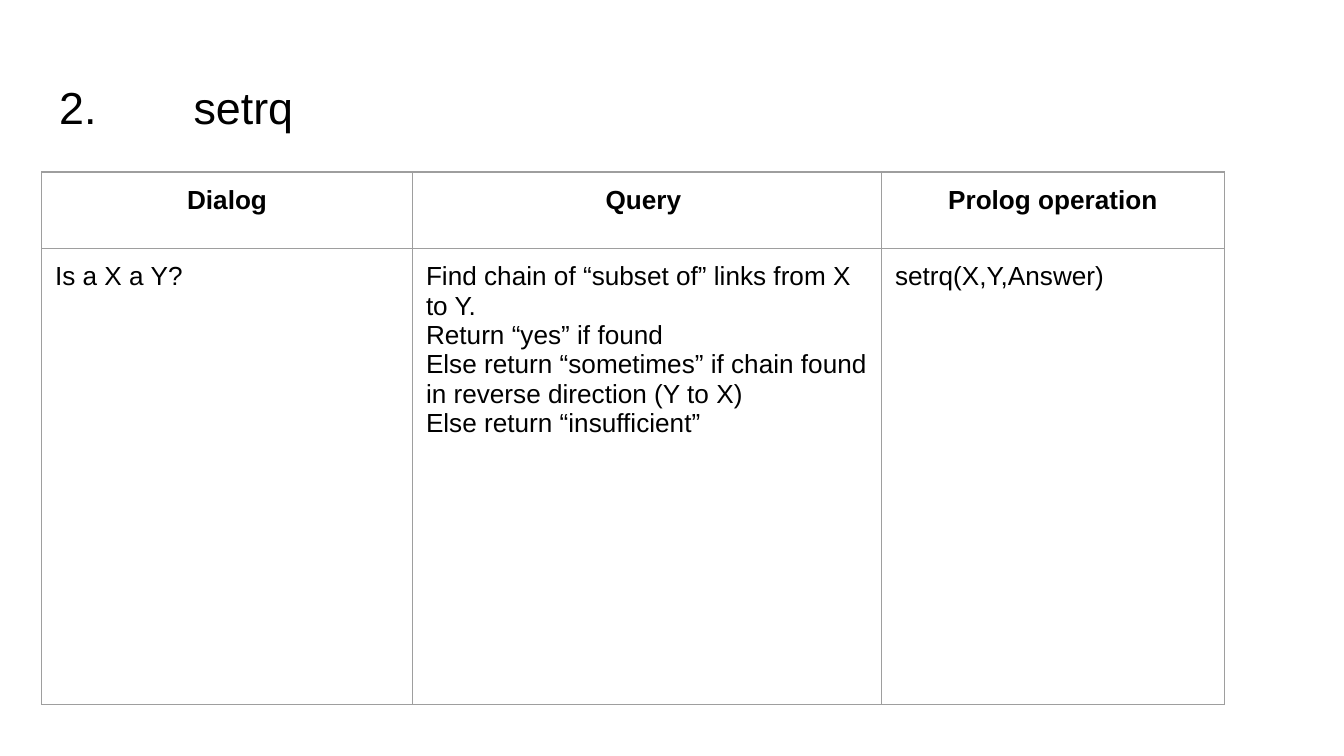
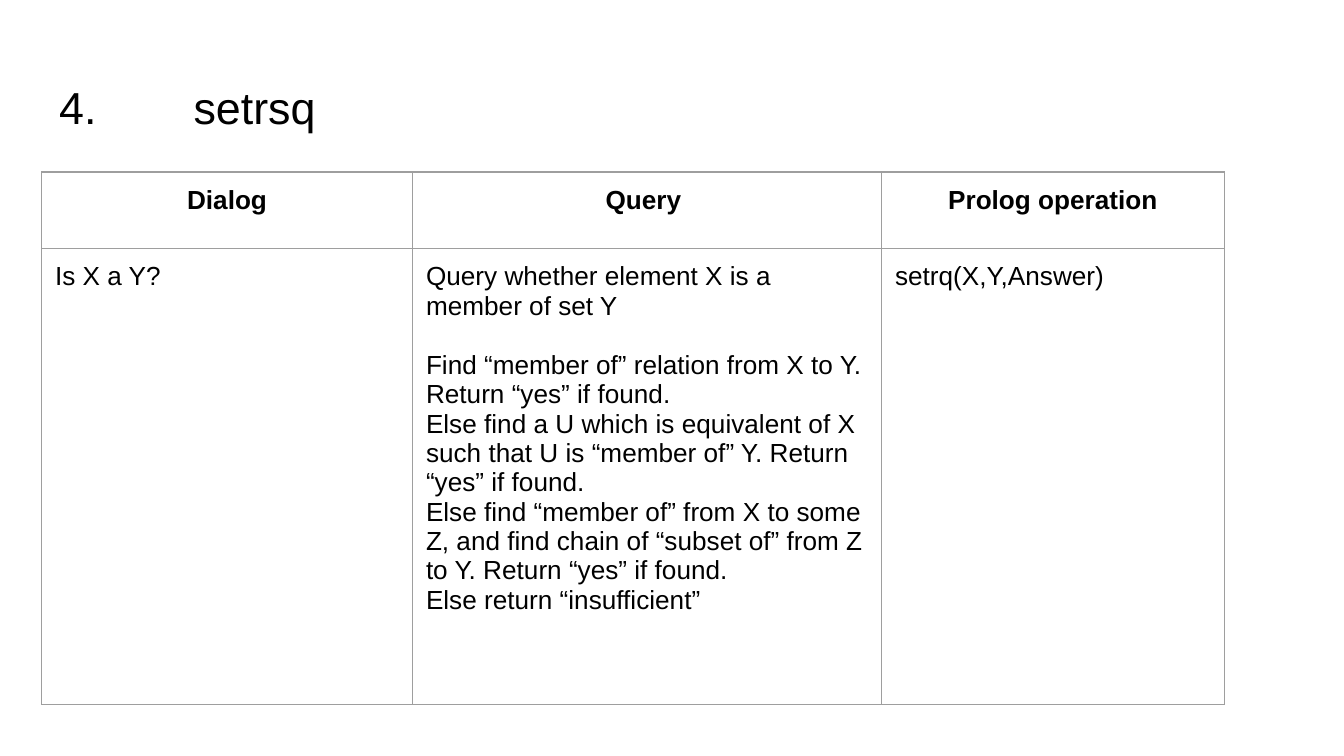
from lxml.etree import SubElement
from pptx import Presentation
from pptx.dml.color import RGBColor
from pptx.enum.text import MSO_ANCHOR, MSO_AUTO_SIZE, PP_ALIGN
from pptx.oxml import parse_xml
from pptx.oxml.ns import nsdecls, qn
from pptx.util import Inches, Pt

BLACK = RGBColor(0x00, 0x00, 0x00)
GRID_GRAY = RGBColor(0x9E, 0x9E, 0x9E)

HEADINGS = ["Dialog", "Query ", "Prolog operation"]
COLUMN_WIDTHS = [2.76, 3.49, 2.55]
ROW_HEIGHTS = [0.57, 1.13, 1.13, 1.13]


class Deck:
    """Holds the shared style and the current slide."""

    font_name = "Arial"
    title_size = Pt(24)
    body_size = Pt(14)
    group_gap = Pt(16)
    border_width = Pt(0.75)
    inset = Inches(0.1)

    def __init__(self):
        self.presentation = Presentation()
        # Widescreen, 16:9
        self.presentation.slide_width = Inches(10)
        self.presentation.slide_height = Inches(10) * 9 // 16
        self.slide = None

    def add_slide(self):
        layout = self.presentation.slide_layouts.get_by_name("Title Only")
        self.slide = self.presentation.slides.add_slide(layout)

    def format_runs(self, paragraph, size, bold=False):
        for run in paragraph.runs:
            run.font.name = self.font_name
            run.font.size = size
            run.font.bold = bold
            run.font.color.rgb = BLACK

    def set_insets(self, target):
        target.margin_left = target.margin_right = self.inset
        target.margin_top = target.margin_bottom = self.inset

    def add_title(self, number, name):
        title = self.slide.shapes.title
        title.left, title.top = Inches(0.34), Inches(0.49)
        title.width, title.height = Inches(9.32), Inches(0.63)
        text_frame = title.text_frame
        text_frame.text = f"{number}.\t{name}"
        text_frame.word_wrap = True
        text_frame.auto_size = MSO_AUTO_SIZE.NONE
        text_frame.vertical_anchor = MSO_ANCHOR.TOP
        self.set_insets(text_frame)
        paragraph = text_frame.paragraphs[0]
        paragraph.alignment = PP_ALIGN.LEFT
        # Tab stop between number and name
        tabs = SubElement(paragraph._p.get_or_add_pPr(), qn("a:tabLst"))
        SubElement(tabs, qn("a:tab"), pos=str(Inches(1)), algn="l")
        self.format_runs(paragraph, self.title_size)

    def style_cell(self, cell):
        self.set_insets(cell)
        cell.vertical_anchor = MSO_ANCHOR.TOP
        cell.fill.background()
        properties = cell._tc.get_or_add_tcPr()
        for index, side in enumerate("LRTB"):
            properties.insert(index, parse_xml(
                f'<a:ln{side} {nsdecls("a")} w="{self.border_width}"><a:solidFill>'
                f'<a:srgbClr val="{GRID_GRAY}"/></a:solidFill></a:ln{side}>'))

    def fill_cell(self, cell, groups, heading=False):
        """Write groups of paragraphs, with a gap before each later group."""
        lines = [(line, group_index > 0 and line_index == 0)
                 for group_index, group in enumerate(groups)
                 for line_index, line in enumerate(group)]
        cell.text_frame.text = "\n".join(line for line, _ in lines)
        for paragraph, (_, starts_group) in zip(cell.text_frame.paragraphs, lines):
            paragraph.alignment = PP_ALIGN.CENTER if heading else PP_ALIGN.LEFT
            if starts_group:
                paragraph.space_before = self.group_gap
            self.format_runs(paragraph, self.body_size, heading)

    def add_query_table(self, dialog, query_groups, operation):
        table = self.slide.shapes.add_table(
            len(ROW_HEIGHTS), len(COLUMN_WIDTHS), Inches(0.31), Inches(1.28),
            Inches(sum(COLUMN_WIDTHS)), Inches(sum(ROW_HEIGHTS))).table
        table.first_row = table.horz_banding = False
        for column, width in zip(table.columns, COLUMN_WIDTHS):
            column.width = Inches(width)
        for row, height in zip(table.rows, ROW_HEIGHTS):
            row.height = Inches(height)
        for cell in table.iter_cells():
            self.style_cell(cell)
        # Heading row above one tall merged row
        contents = [[[dialog]], query_groups, [[operation]]]
        for index, (heading, groups) in enumerate(zip(HEADINGS, contents)):
            self.fill_cell(table.cell(0, index), [[heading]], heading=True)
            body = table.cell(1, index)
            body.merge(table.cell(len(ROW_HEIGHTS) - 1, index))
            self.fill_cell(body, groups)


# Slide content: number, name, dialog, query groups, operation
QUERIES = [
    (2, "setrq", "Is a X a Y?", [[
        "Find chain of “subset of” links from X to Y.",
        "Return “yes” if found",
        "Else return “sometimes” if chain found in reverse direction (Y to X)",
        "Else return “insufficient”",
    ]], "setrq(X,Y,Answer)"),
    (4, "setrsq", "Is X a Y?", [
        ["Query whether element X is a member of set Y"],
        [
            "Find “member of” relation from X to Y.",
            "Return “yes” if found.",
            "Else find a U which is equivalent of X such that U is “member of” Y. "
            "Return “yes” if found.",
            "Else find “member of” from X to some Z, and find chain of “subset of” "
            "from Z to Y. Return “yes” if found.",
            "Else return “insufficient”",
        ],
    ], "setrq(X,Y,Answer)"),
]


def main():
    deck = Deck()
    for number, name, dialog, query_groups, operation in QUERIES:
        deck.add_slide()
        deck.add_title(number, name)
        deck.add_query_table(dialog, query_groups, operation)
    deck.presentation.save("out.pptx")


if __name__ == "__main__":
    main()
